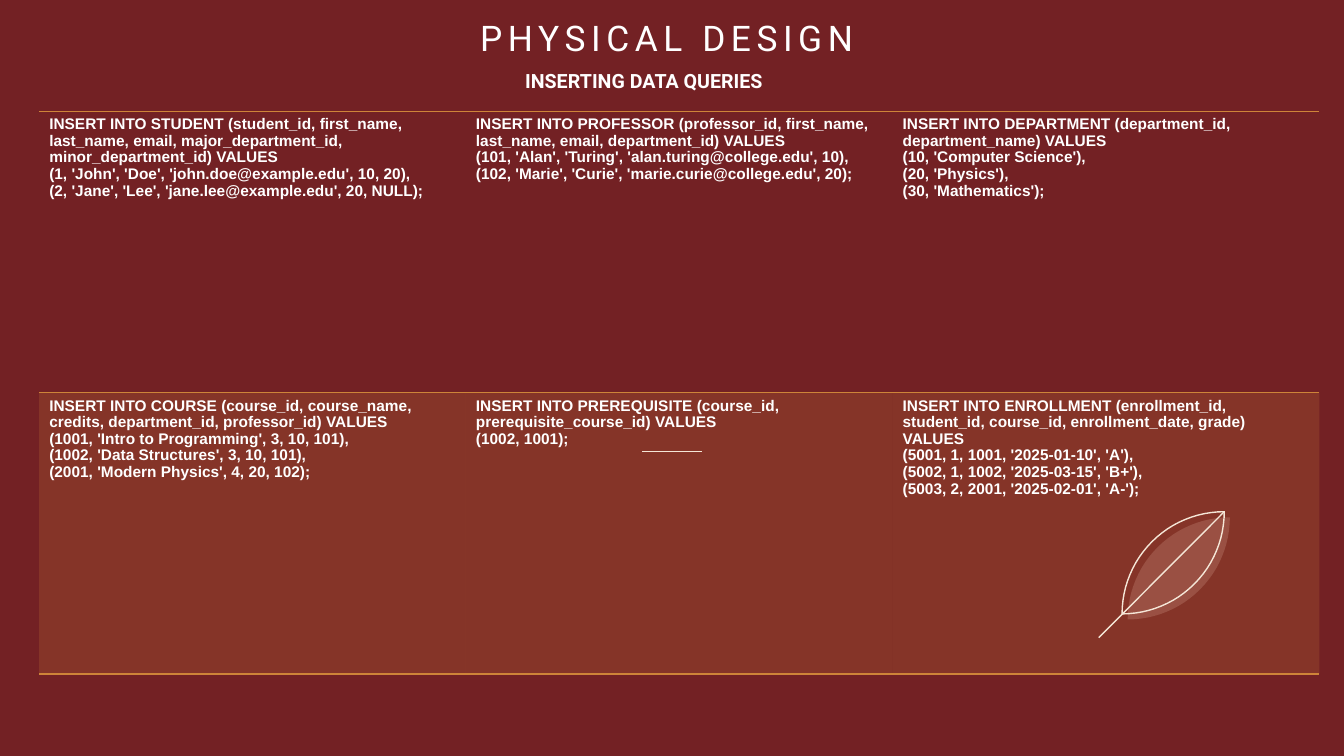
from dataclasses import dataclass
from math import cos, pi, sin

from lxml import etree
from pptx import Presentation
from pptx import util as u
from pptx.dml.color import RGBColor
from pptx.enum import shapes, text
from pptx.oxml import ns

COLOURS = {
    "wine": "732124",
    "white": "FFFFFF",
    "amber": "CE8439",
    "rose": "B4797B",
}
NO_STYLE = "{2D5ABB26-0587-4C30-8999-92F81FD0307C}"


@dataclass
class Heading:
    words: str
    left: float
    top: float
    width: float
    height: float
    size: float
    bold: bool = False
    align: text.PP_ALIGN = text.PP_ALIGN.LEFT
    inset: tuple[float, float] = (7.2, 3.6)
    tracking: int = 0


@dataclass
class Stroke:
    start: tuple[float, float]
    end: tuple[float, float]


@dataclass
class Leaf:
    left: float
    top: float
    size: float
    filled: bool


HEADINGS = [
    Heading("PHYSICAL DESIGN", 270, 11.5, 412.6, 30, 25.2,
            align=text.PP_ALIGN.CENTER, inset=(0, 0), tracking=400),
    Heading("INSERTING DATA QUERIES", 368, 46, 314.6, 24.5, 14, bold=True),
]
LEAVES = [Leaf(805.5, 369.5, 73, True), Leaf(801.5, 365.5, 73, False)]
STROKES = [
    Stroke((874.5, 365.5), (784.8, 455.5)),
    Stroke((458.6, 322.6), (501.1, 322.6)),
]
QUERIES = [
    [
        ["INSERT INTO STUDENT (student_id, first_name, last_name, email, "
         "major_department_id, minor_department_id) VALUES",
         "(1, 'John', 'Doe', 'john.doe@example.edu', 10, 20),",
         "(2, 'Jane', 'Lee', 'jane.lee@example.edu', 20, NULL);"],
        ["INSERT INTO PROFESSOR (professor_id, first_name, last_name, email, "
         "department_id) VALUES",
         "(101, 'Alan', 'Turing', 'alan.turing@college.edu', 10),",
         "(102, 'Marie', 'Curie', 'marie.curie@college.edu', 20);"],
        ["INSERT INTO DEPARTMENT (department_id, department_name) VALUES",
         "(10, 'Computer Science'),",
         "(20, 'Physics'),",
         "(30, 'Mathematics');"],
    ],
    [
        ["INSERT INTO COURSE (course_id, course_name, credits, department_id, "
         "professor_id) VALUES",
         "(1001, 'Intro to Programming', 3, 10, 101),",
         "(1002, 'Data Structures', 3, 10, 101),",
         "(2001, 'Modern Physics', 4, 20, 102);"],
        ["INSERT INTO PREREQUISITE (course_id, prerequisite_course_id) VALUES",
         "(1002, 1001);"],
        ["INSERT INTO ENROLLMENT (enrollment_id, student_id, course_id, "
         "enrollment_date, grade) VALUES",
         "(5001, 1, 1001, '2025-01-10', 'A'),",
         "(5002, 1, 1002, '2025-03-15', 'B+'),",
         "(5003, 2, 2001, '2025-02-01', 'A-');"],
    ],
]


def colour(name: str) -> RGBColor:
    return RGBColor.from_string(COLOURS[name])


def style_font(font, family: str, size: float, bold: bool) -> None:
    font.name = family
    font.size = u.Pt(size)
    font.bold = bold
    font.color.rgb = colour("white")


def fill_translucent(fill, name: str, opacity: int, owner) -> None:
    fill.solid()
    fill.fore_color.rgb = colour(name)
    solid = owner.find(ns.qn("a:solidFill"))
    etree.SubElement(solid[0], ns.qn("a:alpha"), val=str(opacity * 1000))


def draw_leaf(page, leaf: Leaf) -> None:
    steps = 24
    angles = [pi / 2 * step / steps for step in range(steps + 1)]
    right, bottom = leaf.left + leaf.size, leaf.top + leaf.size
    lower = [(leaf.left + leaf.size * cos(a), leaf.top + leaf.size * sin(a))
             for a in angles]
    upper = [(right - leaf.size * cos(a), bottom - leaf.size * sin(a))
             for a in angles]
    points = [(u.Pt(x), u.Pt(y)) for x, y in lower + upper[1:]]
    builder = page.shapes.build_freeform(*points[0])
    builder.add_line_segments(points[1:], close=True)
    shape = builder.convert_to_shape()
    shape.shadow.inherit = False
    if leaf.filled:
        fill_translucent(shape.fill, "rose", 40, shape._element.spPr)
        shape.line.fill.background()
    else:
        shape.fill.background()
        shape.line.color.rgb = colour("white")
        shape.line.width = u.Pt(1)


def draw_stroke(page, stroke: Stroke) -> None:
    ends = [u.Pt(value) for value in (*stroke.start, *stroke.end)]
    line = page.shapes.add_connector(shapes.MSO_CONNECTOR.STRAIGHT, *ends)
    line.line.color.rgb = colour("white")
    line.line.width = u.Pt(1)
    etree.SubElement(line._element.spPr, ns.qn("a:effectLst"))


def draw_heading(page, heading: Heading) -> None:
    box = page.shapes.add_textbox(u.Pt(heading.left), u.Pt(heading.top),
                                  u.Pt(heading.width), u.Pt(heading.height))
    frame = box.text_frame
    frame.word_wrap = True
    frame.margin_left = frame.margin_right = u.Pt(heading.inset[0])
    frame.margin_top = frame.margin_bottom = u.Pt(heading.inset[1])
    frame.text = heading.words
    para = frame.paragraphs[0]
    para.alignment = heading.align
    span = para.runs[0]
    style_font(span.font, "Roboto", heading.size, heading.bold)
    if heading.tracking:
        span._r.get_or_add_rPr().set("spc", str(heading.tracking))


def add_border(cell, side: str, position: int) -> None:
    border = etree.Element(ns.qn(f"a:{side}"), w=str(u.Pt(1)))
    solid = etree.SubElement(border, ns.qn("a:solidFill"))
    etree.SubElement(solid, ns.qn("a:srgbClr"), val=COLOURS["amber"])
    cell._tc.get_or_add_tcPr().insert(position, border)


def draw_queries(page) -> None:
    frame = page.shapes.add_table(len(QUERIES), len(QUERIES[0]), u.Pt(28),
                                  u.Pt(79.5), u.Pt(914.4), u.Pt(402))
    table = frame.table
    table.first_row = table.horz_banding = False
    table._tbl.tblPr.find(ns.qn("a:tableStyleId")).text = NO_STYLE
    for row, queries in enumerate(QUERIES):
        for column, query in enumerate(queries):
            cell = table.cell(row, column)
            cell.text_frame.text = "\n".join(query)
            for para in cell.text_frame.paragraphs:
                para.line_spacing = 0.97
                style_font(para.runs[0].font, "Arial", 11, True)
            if row % 2:
                fill_translucent(cell.fill, "amber", 20,
                                 cell._tc.get_or_add_tcPr())
            else:
                cell.fill.background()
            add_border(cell, "lnT", 0)
            add_border(cell, "lnB", 1)


def main() -> None:
    deck = Presentation()
    deck.slide_width, deck.slide_height = u.Pt(960), u.Pt(540)
    page = deck.slides.add_slide(deck.slide_layouts[6])
    page.background.fill.solid()
    page.background.fill.fore_color.rgb = colour("wine")
    for leaf in LEAVES:
        draw_leaf(page, leaf)
    for stroke in STROKES:
        draw_stroke(page, stroke)
    for heading in HEADINGS:
        draw_heading(page, heading)
    draw_queries(page)
    deck.save("out.pptx")


if __name__ == "__main__":
    main()
